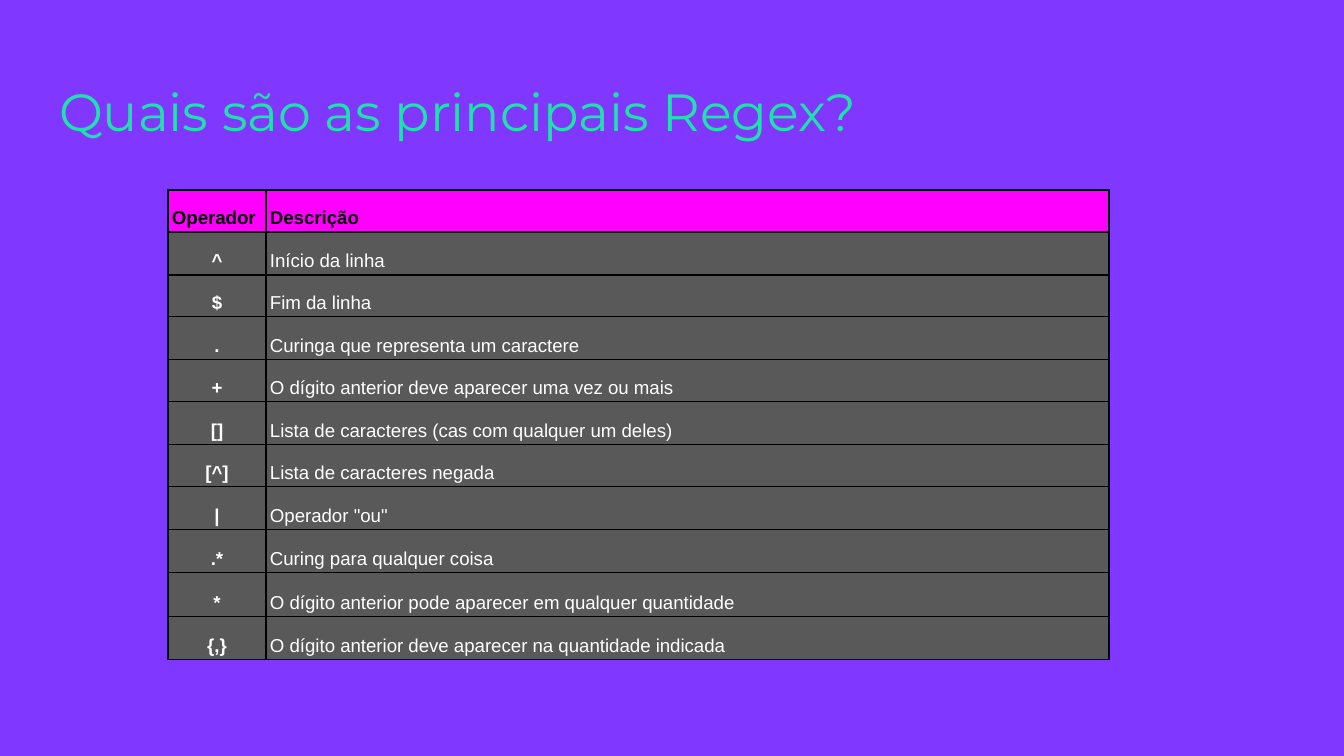
from lxml import etree
from pptx import Presentation
from pptx.dml.color import RGBColor
from pptx.enum.text import MSO_ANCHOR, PP_ALIGN
from pptx.oxml.ns import qn
from pptx.util import Inches, Pt

# Content
TITLE = "Quais são as principais Regex?"
HEADER = ("Operador", "Descrição")
OPERATORS = [
    ("^", "Início da linha"),
    ("$", "Fim da linha"),
    (".", "Curinga que representa um caractere"),
    ("+", "O dígito anterior deve aparecer uma vez ou mais"),
    ("[]", "Lista de caracteres (cas com qualquer um deles)"),
    ("[^]", "Lista de caracteres negada"),
    ("|", 'Operador "ou"'),
    (".*", "Curing para qualquer coisa"),
    ("*", "O dígito anterior pode aparecer em qualquer quantidade"),
    ("{,}", "O dígito anterior deve aparecer na quantidade indicada"),
]

# Style
PURPLE = RGBColor(0x80, 0x37, 0xFF)
GREEN = RGBColor(0x1E, 0xE2, 0xAA)
MAGENTA = RGBColor(0xFF, 0x00, 0xFF)
GREY = RGBColor(0x59, 0x59, 0x59)
BLACK = RGBColor(0x00, 0x00, 0x00)
WHITE = RGBColor(0xFF, 0xFF, 0xFF)
TOP, BOTTOM = MSO_ANCHOR.TOP, MSO_ANCHOR.BOTTOM
LEFT, CENTER = PP_ALIGN.LEFT, PP_ALIGN.CENTER

# Layout in px
SLIDE_SIZE = (1344, 756)
TITLE_BOX = (46, 66, 1253, 85)
TABLE_LEFT, TABLE_TOP = 168, 190
COLUMN_WIDTHS = (98, 843)
ROW_HEIGHTS = [42, 43] * 4 + [43, 44, 43]


def px(length):
    return round(length * Inches(10) / 1344)


def set_font(paragraph, name, size, color, bold=False):
    font = paragraph.font
    font.name, font.size, font.bold = name, Pt(size), bold
    font.color.rgb = color


def add_borders(cell):
    properties = cell._tc.get_or_add_tcPr()
    for position, side in enumerate(("lnL", "lnR", "lnT", "lnB")):
        line = etree.Element(qn(f"a:{side}"), w=str(Pt(0.75)))
        fill = etree.SubElement(line, qn("a:solidFill"))
        etree.SubElement(fill, qn("a:srgbClr"), val=str(BLACK))
        properties.insert(position, line)


def fill_cell(cell, text, is_header, is_operator):
    cell.fill.solid()
    cell.fill.fore_color.rgb = MAGENTA if is_header else GREY
    cell.vertical_anchor = BOTTOM
    cell.margin_left = cell.margin_right = px(4)
    cell.margin_top = cell.margin_bottom = px(3)
    cell.text = text
    paragraph = cell.text_frame.paragraphs[0]
    paragraph.alignment = CENTER if is_operator and not is_header else LEFT
    paragraph.line_spacing = 1.15
    set_font(paragraph, "Arial", 10, BLACK if is_header else WHITE,
             bold=is_header or is_operator)
    add_borders(cell)


def main():
    prs = Presentation()
    prs.slide_width, prs.slide_height = map(px, SLIDE_SIZE)
    slide = prs.slides.add_slide(prs.slide_layouts[6])
    slide.background.fill.solid()
    slide.background.fill.fore_color.rgb = PURPLE

    # Title
    title = slide.shapes.add_textbox(*map(px, TITLE_BOX)).text_frame
    title.word_wrap = True
    title.vertical_anchor = TOP
    title.margin_left = title.margin_right = Inches(0.1)
    title.margin_top = title.margin_bottom = Inches(0.1)
    title.text = TITLE
    set_font(title.paragraphs[0], "Montserrat", 28, GREEN)

    # Table of operators
    rows = [HEADER] + OPERATORS
    table = slide.shapes.add_table(
        len(rows), len(HEADER), px(TABLE_LEFT), px(TABLE_TOP),
        px(sum(COLUMN_WIDTHS)), px(sum(ROW_HEIGHTS))).table
    table.horz_banding = False
    for column, width in zip(table.columns, COLUMN_WIDTHS):
        column.width = px(width)
    for r, (row, height) in enumerate(zip(rows, ROW_HEIGHTS)):
        table.rows[r].height = px(height)
        for c, text in enumerate(row):
            fill_cell(table.cell(r, c), text, is_header=r == 0, is_operator=c == 0)

    prs.save("out.pptx")


if __name__ == "__main__":
    main()
